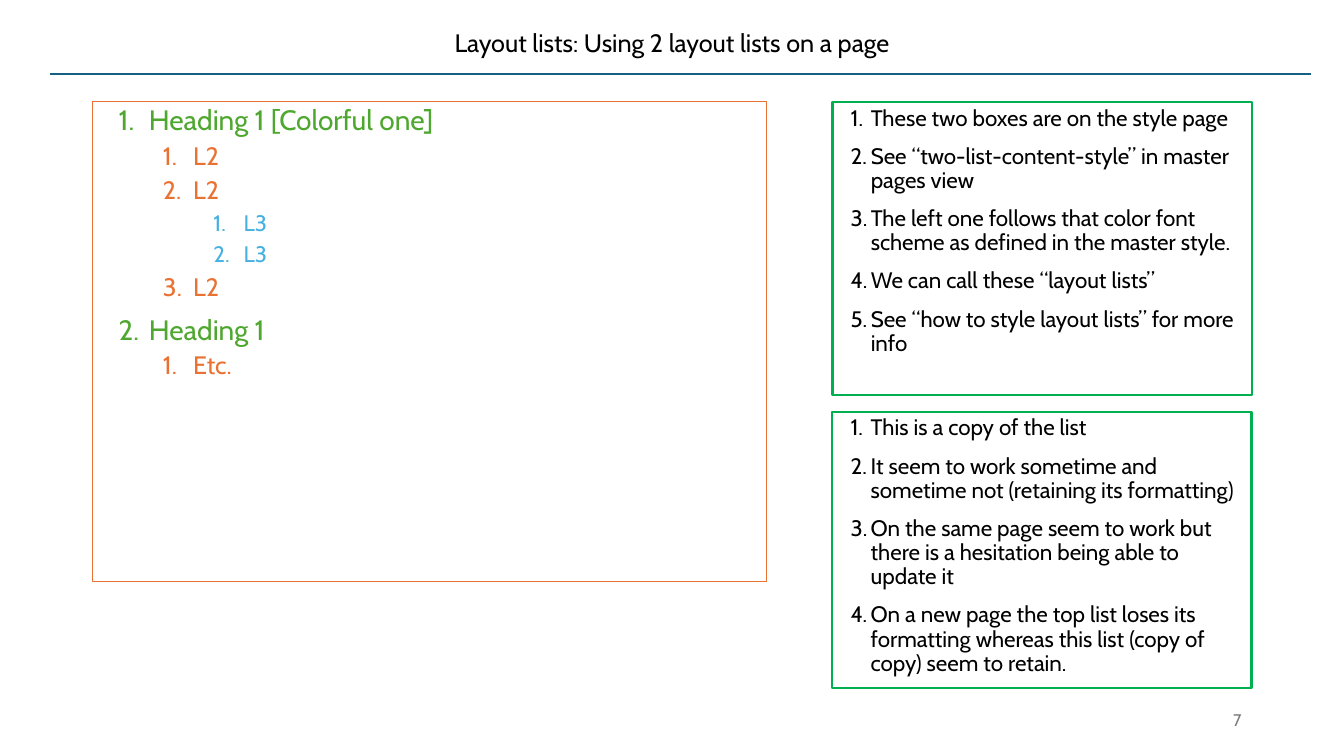
from lxml.etree import SubElement
from pptx import Presentation
from pptx.dml.color import RGBColor
from pptx.enum.shapes import MSO_CONNECTOR, MSO_SHAPE
from pptx.enum.text import MSO_ANCHOR, MSO_AUTO_SIZE, PP_ALIGN
from pptx.oxml.ns import qn
from pptx.util import Inches, Pt

BLACK = RGBColor(0x00, 0x00, 0x00)
GRAY = RGBColor(0x79, 0x79, 0x79)
TEAL = RGBColor(0x15, 0x60, 0x82)
ORANGE = RGBColor(0xE9, 0x71, 0x32)
LEAF = RGBColor(0x4E, 0xA7, 0x2E)
SKY = RGBColor(0x46, 0xB1, 0xE1)
GREEN = RGBColor(0x00, 0xB0, 0x50)

COLUMNS, ROWS = 160, 90
LEFT, RIGHT, TOP = 11, 149, 12.1
SIDE_LEFT = 99.1
SIDE_WIDTH = RIGHT - SIDE_LEFT

OUTLINE_STYLE = [
    (0.56, -0.3, 10, 20, LEAF),
    (1, -0.3, 5, 18, ORANGE),
    (1.5, -0.3, 5, 16, SKY),
]
NOTES_STYLE = [(0.38, -0.2, 10, 16, BLACK)]

OUTLINE = [
    (0, "Heading 1 [Colorful one]"),
    (1, "L2"),
    (1, "L2"),
    (2, "L3"),
    (2, "L3"),
    (1, "L2"),
    (0, "Heading 1"),
    (1, "Etc."),
]
STYLE_NOTES = [
    (0, "These two boxes are on the style page"),
    (0, "See “two-list-content-style” in master pages view"),
    (0, "The left one follows that color font scheme as defined in the master style."),
    (0, "We can call these “layout lists”"),
    (0, "See “how to style layout lists” for more info"),
]
COPY_NOTES = [
    (0, "This is a copy of the list"),
    (0, "It seem to work sometime and sometime not (retaining its formatting)"),
    (0, "On the same page seem to work but there is a hesitation being able to update it"),
    (0, "On a new page the top list loses its formatting whereas this list (copy of copy) seem to retain."),
]


class SlideBuilder:
    font_name = "Cabin"
    line_spacing = 0.9

    def __init__(self, presentation):
        self.column = presentation.slide_width / COLUMNS
        self.row = presentation.slide_height / ROWS
        self.slide = presentation.slides.add_slide(presentation.slide_layouts[3])

    def area(self, left, top, width, height):
        return (round(left * self.column), round(top * self.row),
                round(width * self.column), round(height * self.row))

    def place(self, shape, *box):
        shape.left, shape.top, shape.width, shape.height = self.area(*box)

    def style_font(self, paragraph, size, color):
        font = paragraph.font
        font.name, font.size, font.bold = self.font_name, Pt(size), False
        font.color.rgb = color

    def line_of_text(self, shape, text, size, color, alignment):
        frame = shape.text_frame
        frame.word_wrap = True
        frame.auto_size = MSO_AUTO_SIZE.NONE
        frame.vertical_anchor = MSO_ANCHOR.MIDDLE
        paragraph = frame.paragraphs[0]
        paragraph.text = text
        paragraph.alignment = alignment
        paragraph.line_spacing = self.line_spacing
        self.style_font(paragraph, size, color)

    def title(self, text, *box):
        shape = self.slide.shapes.title
        self.place(shape, *box)
        self.line_of_text(shape, text, 18, BLACK, PP_ALIGN.CENTER)

    def page_number(self, text, *box):
        shape = self.slide.shapes.add_textbox(*self.area(*box))
        self.line_of_text(shape, text, 12, GRAY, PP_ALIGN.RIGHT)

    def rule(self, left, top, width):
        x, y, length, _ = self.area(left, top, width, 0)
        connector = self.slide.shapes.add_connector(
            MSO_CONNECTOR.STRAIGHT, x, y, x + length, y)
        connector.line.color.rgb = TEAL
        connector.line.width = Pt(1.5)
        SubElement(connector._element.spPr, qn("a:effectLst"))

    def body(self, index, *box):
        shape = self.slide.placeholders[index]
        self.place(shape, *box)
        return shape

    def rectangle(self, *box):
        shape = self.slide.shapes.add_shape(MSO_SHAPE.RECTANGLE, *self.area(*box))
        shape.shadow.inherit = False
        return shape

    def numbered_list(self, shape, items, styles, border, border_width):
        shape.fill.background()
        shape.line.color.rgb = border
        shape.line.width = Pt(border_width)
        frame = shape.text_frame
        frame.word_wrap = True
        frame.auto_size = MSO_AUTO_SIZE.NONE
        frame.vertical_anchor = MSO_ANCHOR.TOP
        frame.margin_left = 0
        frame.margin_right = Inches(0.1)
        frame.margin_top = frame.margin_bottom = Inches(0.05)
        for position, (level, text) in enumerate(items):
            paragraph = frame.add_paragraph() if position else frame.paragraphs[0]
            margin, indent, space, size, color = styles[level]
            paragraph.text = text
            paragraph.level = level
            paragraph.alignment = PP_ALIGN.LEFT
            paragraph.line_spacing = self.line_spacing
            paragraph.space_before = Pt(space)
            properties = paragraph._p.get_or_add_pPr()
            properties.set("marL", str(Inches(margin)))
            properties.set("indent", str(Inches(indent)))
            SubElement(properties, qn("a:buFont"), typeface="+mj-lt")
            SubElement(properties, qn("a:buAutoNum"), type="arabicPeriod")
            self.style_font(paragraph, size, color)


def main():
    presentation = Presentation()
    presentation.slide_width = Inches(13.33)
    presentation.slide_height = Inches(7.5)
    builder = SlideBuilder(presentation)
    builder.rule(6, 8.8, 150.1)
    builder.title("Layout lists: Using 2 layout lists on a page",
                  LEFT, 2.5, RIGHT - LEFT, 5.5)
    outline = builder.body(1, LEFT, TOP, 80.3, 57.1)
    builder.numbered_list(outline, OUTLINE, OUTLINE_STYLE, ORANGE, 0.75)
    builder.page_number("7", 113, 83.4, 36, 4.8)
    style_box = builder.body(2, SIDE_LEFT, TOP, SIDE_WIDTH, 34.9)
    copy_box = builder.rectangle(SIDE_LEFT, 49, SIDE_WIDTH, 32.9)
    for box, notes in ((style_box, STYLE_NOTES), (copy_box, COPY_NOTES)):
        builder.numbered_list(box, notes, NOTES_STYLE, GREEN, 1.5)
    presentation.save("out.pptx")


if __name__ == "__main__":
    main()
